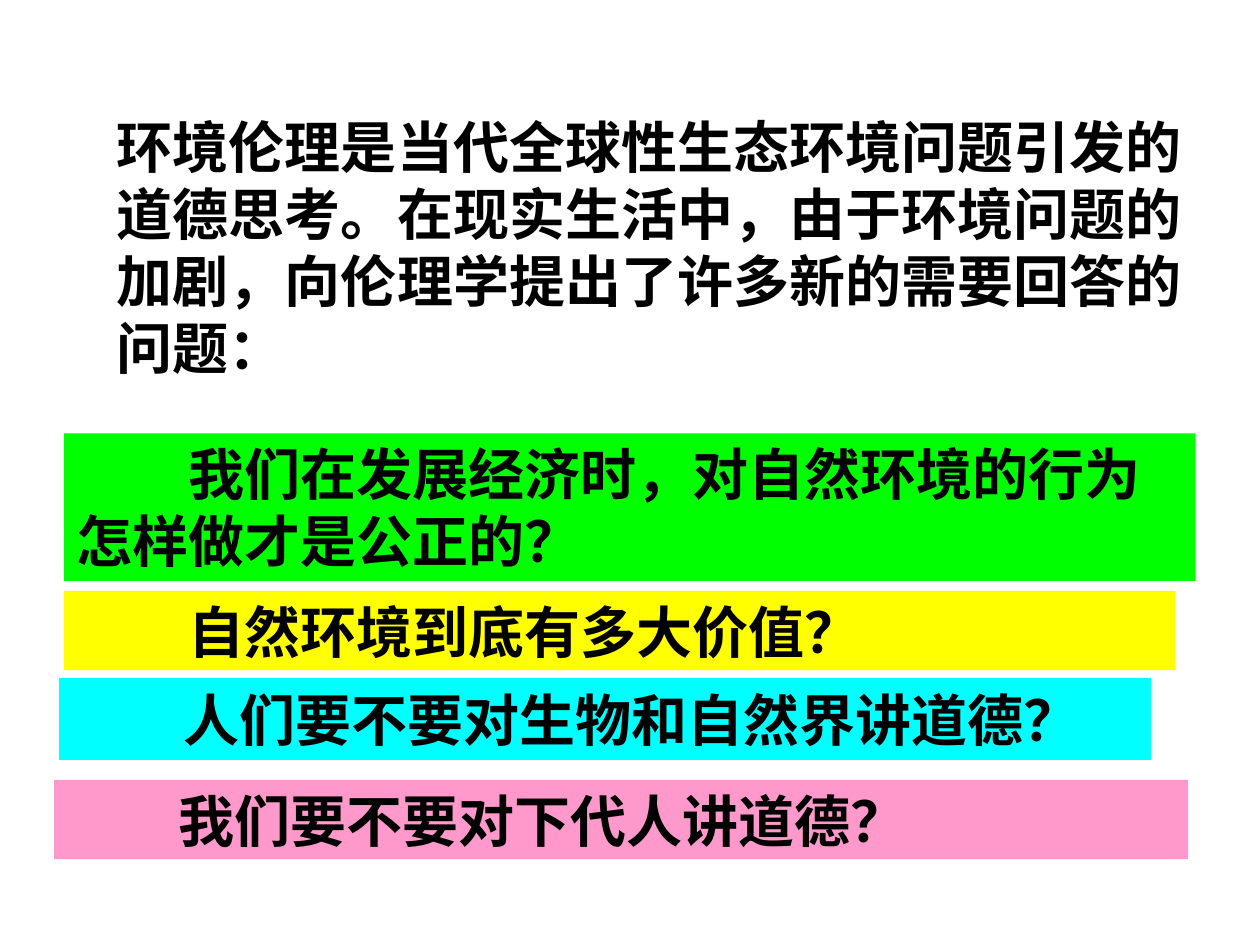
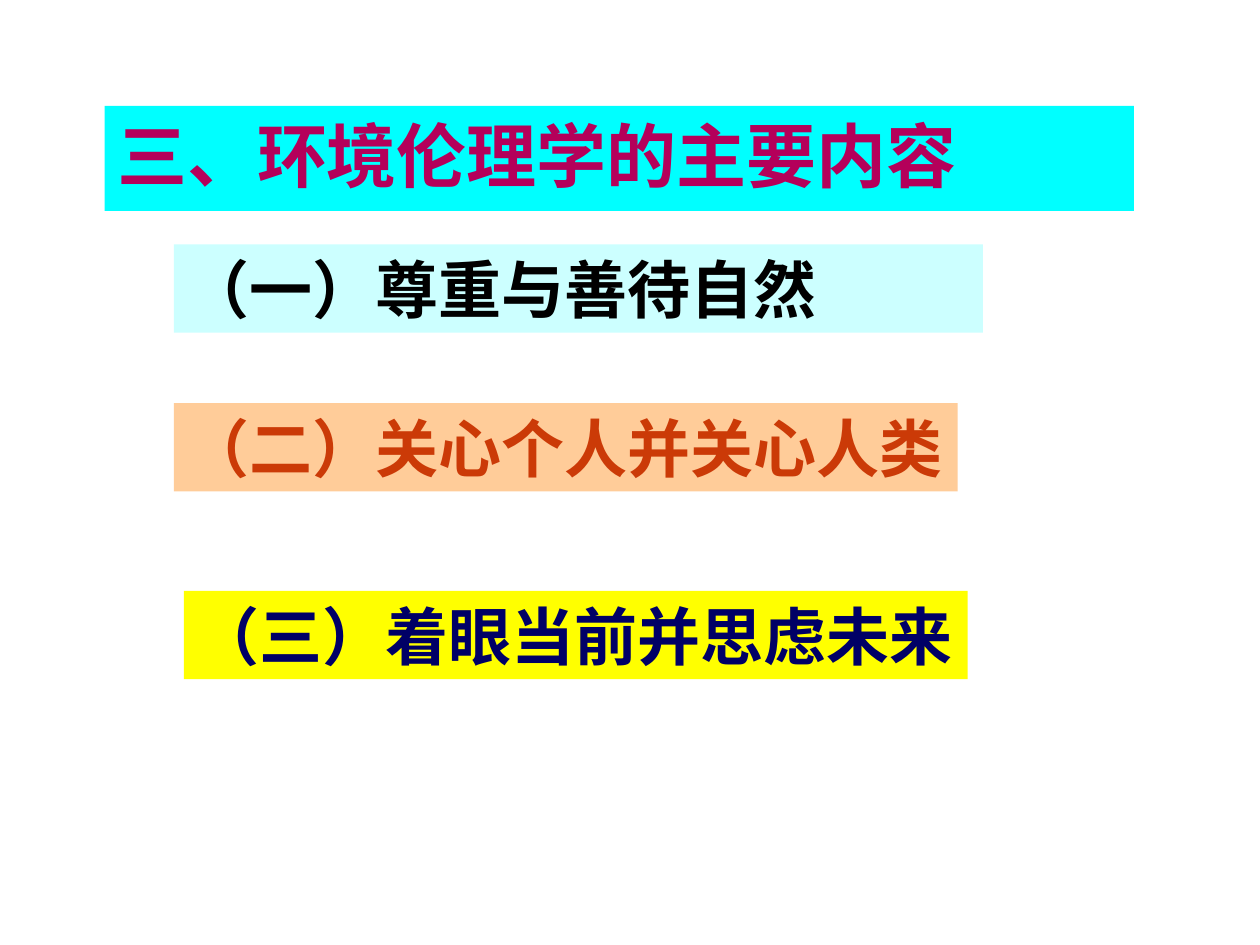
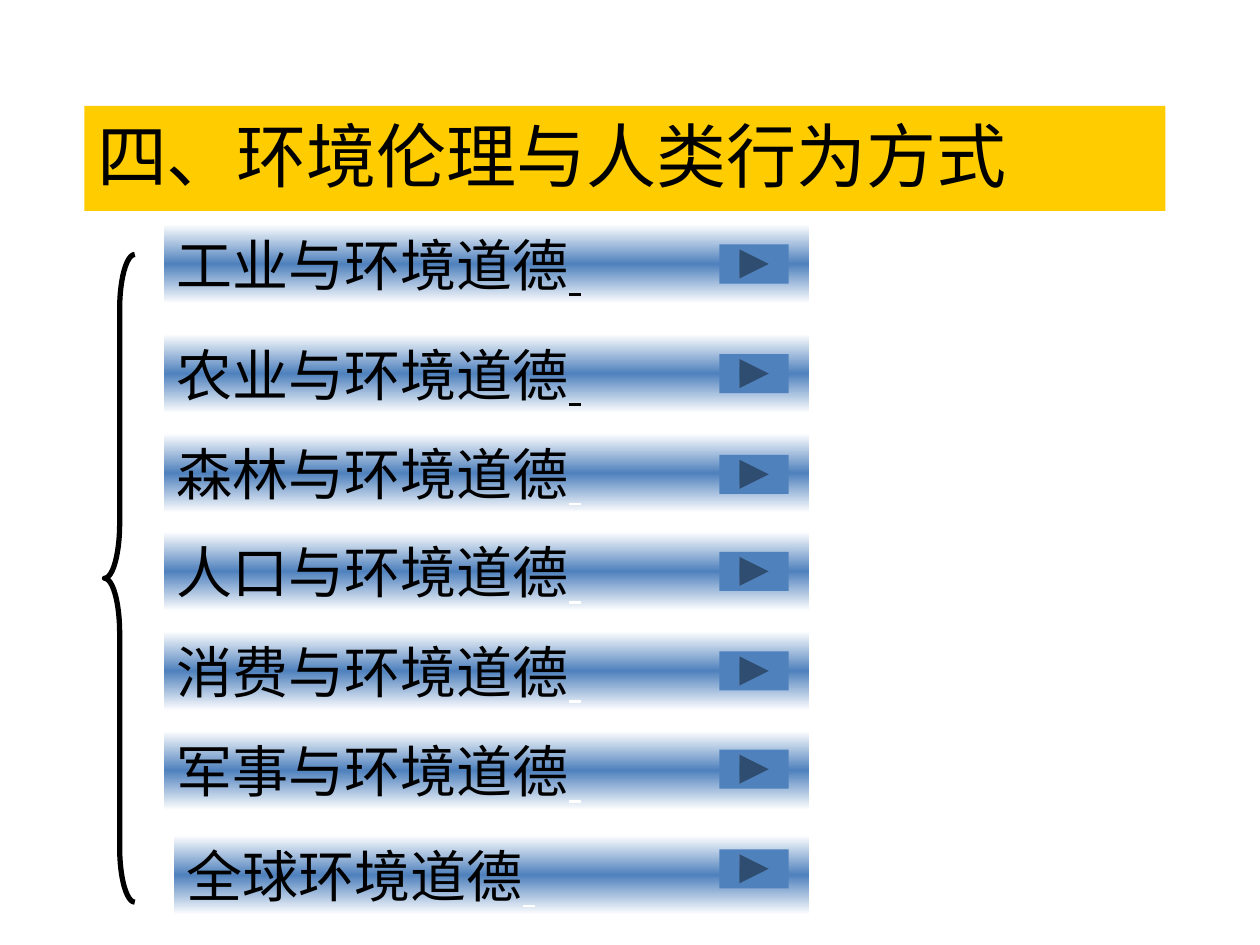
import copy
from dataclasses import dataclass

import pptx
import pptx.dml.color
import pptx.enum.shapes
import pptx.enum.text
import pptx.oxml.ns
import pptx.util
from lxml import etree

SHAPES = pptx.enum.shapes.MSO_SHAPE
qn = pptx.oxml.ns.qn


@dataclass(frozen=True)
class Theme:
    font: str = "Noto Sans CJK SC"
    latin_font: str = "Calibri"
    title_size: int = 40
    item_size: int = 36
    body_size: int = 32
    line_pitch: float = 1.2
    black: str = "000000"
    white: str = "FFFFFF"
    green: str = "00FF00"
    yellow: str = "FFFF00"
    cyan: str = "00FFFF"
    pink: str = "FF99CC"
    pale_cyan: str = "CCFFFF"
    peach: str = "FFCC99"
    gold: str = "FFCC00"
    blue: str = "4F81BD"
    crimson: str = "B4005A"
    rust: str = "CB3A07"
    navy: str = "000066"


def rgb(color):
    return pptx.dml.color.RGBColor.from_string(color)


class Deck:
    """Places elements on a grid of 100 columns by 75 rows."""

    COLUMNS, ROWS = 100, 75
    TITLE_ONLY, BLANK = 5, 6

    def __init__(self, theme):
        self.theme = theme
        self.prs = pptx.Presentation()
        self.prs.slide_width = pptx.util.Inches(10)
        self.prs.slide_height = pptx.util.Inches(7.5)
        self.slide = None

    def new_slide(self, layout):
        self.slide = self.prs.slides.add_slide(self.prs.slide_layouts[layout])

    def place(self, column, row, columns, rows):
        across = self.prs.slide_width / self.COLUMNS
        down = self.prs.slide_height / self.ROWS
        return (round(column * across), round(row * down),
                round(columns * across), round(rows * down))

    def style_run(self, run, size, color, bold, latin=None):
        run.font.size = pptx.util.Pt(size)
        run.font.bold = bold
        run.font.color.rgb = rgb(color)
        run.font.name = latin or self.theme.font
        east_asian = etree.SubElement(run.font._element, qn("a:ea"))
        east_asian.set("typeface", self.theme.font)

    def set_text(self, shape, text, size, color, bold=True, latin=None, wrap=True, indent=0):
        frame = shape.text_frame
        frame.text = text
        frame.word_wrap = wrap
        frame.vertical_anchor = pptx.enum.text.MSO_ANCHOR.TOP
        frame.auto_size = pptx.enum.text.MSO_AUTO_SIZE.SHAPE_TO_FIT_TEXT
        paragraph = frame.paragraphs[0]
        paragraph.alignment = pptx.enum.text.PP_ALIGN.LEFT
        paragraph.line_spacing = pptx.util.Pt(size * self.theme.line_pitch)
        if indent:
            properties = paragraph._p.get_or_add_pPr()
            properties.set("indent", str(pptx.util.Pt(size * indent)))
        self.style_run(paragraph.runs[0], size, color, bold, latin)
        return paragraph

    def shape(self, kind, box, fill=None, line=None, line_width=0.75):
        shape = self.slide.shapes.add_shape(kind, *self.place(*box))
        shape.shadow.inherit = False
        if fill:
            shape.fill.solid()
            shape.fill.fore_color.rgb = rgb(fill)
        else:
            shape.fill.background()
        if line:
            shape.line.color.rgb = rgb(line)
            shape.line.width = pptx.util.Pt(line_width)
        else:
            shape.line.fill.background()
        return shape

    def title(self, text, box, fill, color, bold):
        title = self.slide.shapes.title
        title.left, title.top, title.width, title.height = self.place(*box)
        title.fill.solid()
        title.fill.fore_color.rgb = rgb(fill)
        self.set_text(title, text, self.theme.title_size, color, bold)

    def text(self, text, box):
        intro = self.slide.shapes.add_textbox(*self.place(*box))
        self.set_text(intro, text, self.theme.body_size, self.theme.black)

    def band(self, text, box, fill, size, color, line=None, **style):
        self.set_text(self.shape(SHAPES.RECTANGLE, box, fill, line), text, size, color, **style)

    def glow_band(self, text, box, mark_color):
        theme = self.theme
        band = self.shape(SHAPES.RECTANGLE, box)
        band.fill.gradient()
        band.fill.gradient_angle = 90
        stops = band._element.spPr.find(".//" + qn("a:gsLst"))
        stops.append(copy.deepcopy(stops[0]))
        glow = ((0, theme.white), (0.5, theme.blue), (1, theme.white))
        for stop, (position, color) in zip(band.fill.gradient_stops, glow):
            stop.position = position
            stop.color.rgb = rgb(color)
        paragraph = self.set_text(band, text, theme.body_size, theme.black, bold=False)
        # Short underline after the topic
        mark = paragraph.add_run()
        mark.text = " "
        self.style_run(mark, theme.body_size, mark_color, False)
        mark.font.underline = True

    def next_button(self, box):
        self.shape(SHAPES.ACTION_BUTTON_FORWARD_OR_NEXT, box, self.theme.blue)

    def brace(self, box, curve):
        brace = self.shape(SHAPES.LEFT_BRACE, box, line=self.theme.black, line_width=3)
        brace.adjustments[0] = curve
        brace.adjustments[1] = 0.5


# Questions raised by environmental ethics
def questions_slide(deck):
    theme = deck.theme
    deck.new_slide(deck.BLANK)
    deck.text("环境伦理是当代全球性生态环境问题引发的道德思考。在现实生活中，由于环境问题的加剧，"
              "向伦理学提出了许多新的需要回答的问题：", (8.3, 8.4, 89, 22.6))
    questions = (
        ("我们在发展经济时，对自然环境的行为怎样做才是公正的？",
         (5.1, 34.4, 89.8, 11.7), theme.green, None),
        ("自然环境到底有多大价值？", (5.1, 46.9, 88.2, 6.3), theme.yellow, None),
        ("人们要不要对生物和自然界讲道德？", (4.7, 53.9, 86.6, 6.4), theme.cyan, theme.cyan),
        ("我们要不要对下代人讲道德？", (4.3, 61.9, 90, 6.3), theme.pink, None),
    )
    for question, box, fill, line in questions:
        deck.band(question, box, fill, theme.body_size, theme.black, line, indent=2)


# Three main principles
def contents_slide(deck):
    theme = deck.theme
    deck.new_slide(deck.TITLE_ONLY)
    deck.title("三、环境伦理学的主要内容", (8.3, 8.4, 81.7, 7.7), theme.cyan, theme.crimson, True)
    fitted = {"latin": theme.latin_font, "wrap": False}
    principles = (
        ("（一）尊重与善待自然", (13.8, 19.4, 64.2, 7), theme.pale_cyan, theme.black, {}),
        ("（二）关心个人并关心人类", (13.8, 32, 62.2, 7), theme.peach, theme.rust, fitted),
        ("（三）着眼当前并思虑未来", (14.6, 46.9, 62.2, 7), theme.yellow, theme.navy, fitted),
    )
    for principle, box, fill, color, style in principles:
        deck.band(principle, box, fill, theme.item_size, color, **style)


# Fields of human conduct
def conduct_slide(deck):
    theme = deck.theme
    deck.new_slide(deck.TITLE_ONLY)
    deck.title("四、环境伦理与人类行为方式", (6.7, 8.4, 85.8, 7.7), theme.gold, theme.black, False)
    deck.brace((8.3, 20.2, 2.4, 51.4), 1.814)
    # Topic, left edge, top of its band, top of its button, underline colour
    topics = (
        ("工业与环境道德", 13, 17.8, 19.4, theme.black),
        ("农业与环境道德", 13, 26.5, 28.1, theme.black),
        ("森林与环境道德", 13, 34.4, 36.1, theme.white),
        ("人口与环境道德", 13, 42.2, 43.8, theme.white),
        ("消费与环境道德", 13, 50.1, 51.7, theme.white),
        ("军事与环境道德", 13, 58, 59.5, theme.white),
        ("全球环境道德", 13.8, 66.3, 67.4, theme.white),
    )
    right_edge = 64.2
    for topic, left, top, button_top, mark_color in topics:
        deck.glow_band(topic, (left, top, right_edge - left, 6.3), mark_color)
        deck.next_button((57.1, button_top, 5.5, 3.1))


def main():
    deck = Deck(Theme())
    questions_slide(deck)
    contents_slide(deck)
    conduct_slide(deck)
    deck.prs.save("out.pptx")


if __name__ == "__main__":
    main()
